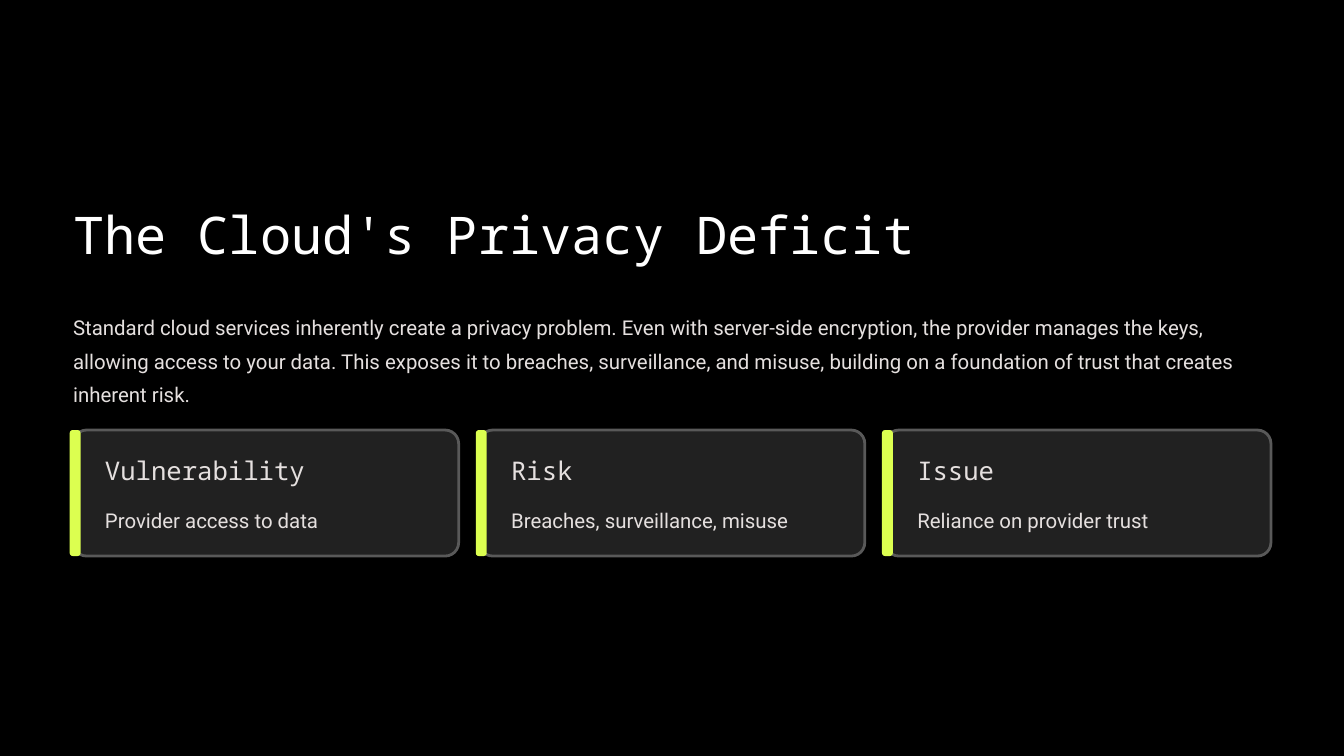
from pptx import Presentation, util as u
from pptx.dml.color import RGBColor
from pptx.enum import shapes

TITLE = "The Cloud's Privacy Deficit"
INTRO = (
    "Standard cloud services inherently create a privacy problem. "
    "Even with server-side encryption, the provider manages the keys, "
    "allowing access to your data. This exposes it to breaches, surveillance, "
    "and misuse, building on a foundation of trust that creates inherent risk."
)
CARDS = [
    ("Vulnerability", "Provider access to data"),
    ("Risk", "Breaches, surveillance, misuse"),
    ("Issue", "Reliance on provider trust"),
]
COLORS = {
    "background": "000000",
    "title": "FFFFFF",
    "body": "E5E0DF",
    "card": "212121",
    "border": "595959",
    "accent": "DCFF50",
}
# font, size, line spacing (points), colour
STYLES = {
    "title": ("Noto Sans Mono", 44.5, 55.5, "title"),
    "heading": ("Noto Sans Mono", 22, 27.5, "body"),
    "body": ("Roboto", 17.5, 28.5, "body"),
}

# Inches
WIDTH, HEIGHT = 16, 9
MARGIN = 0.87
CONTENT_WIDTH = WIDTH - 2 * MARGIN
GAP = 0.245
CARD_WIDTH = (CONTENT_WIDTH - GAP * (len(CARDS) - 1)) / len(CARDS)
CARD_TOP, CARD_HEIGHT = 5.12, 1.5
BAR_WIDTH, BAR_OVERHANG = 0.13, 0.04
TEXT_INDENT = 0.38


def color(name):
    return RGBColor.from_string(COLORS[name])


def add_text(slide, content, style, left, top, width, height, wrap=False):
    font_name, size, spacing, color_name = STYLES[style]
    box = slide.shapes.add_textbox(*map(u.Inches, (left, top, width, height)))
    frame = box.text_frame
    frame.margin_left = frame.margin_right = 0
    frame.margin_top = frame.margin_bottom = 0
    frame.word_wrap = wrap
    frame.text = content
    paragraph = frame.paragraphs[0]
    paragraph.line_spacing = u.Pt(spacing)
    font = paragraph.runs[0].font
    font.name, font.size = font_name, u.Pt(size)
    font.color.rgb = color(color_name)


def add_panel(slide, left, width, roundness, fill, border=None):
    """Add a rounded rectangle that spans the height of the card row."""
    panel = slide.shapes.add_shape(
        shapes.MSO_SHAPE.ROUNDED_RECTANGLE,
        *map(u.Inches, (left, CARD_TOP, width, CARD_HEIGHT)),
    )
    panel.shadow.inherit = False
    panel.adjustments[0] = roundness
    panel.fill.solid()
    panel.fill.fore_color.rgb = color(fill)
    if border:
        panel.line.color.rgb = color(border)
        panel.line.width = u.Pt(2.4)
    else:
        panel.line.fill.background()


def add_card(slide, left, heading, detail):
    add_panel(slide, left, CARD_WIDTH, 0.107, "card", "border")
    add_panel(slide, left - BAR_OVERHANG, BAR_WIDTH, 0.279, "accent")
    text_left = left + TEXT_INDENT
    add_text(slide, heading, "heading", text_left, CARD_TOP + 0.28, 3.1, 0.39)
    add_text(slide, detail, "body", text_left, CARD_TOP + 0.82, 3.93, 0.4)


def main():
    presentation = Presentation()
    presentation.slide_width = u.Inches(WIDTH)
    presentation.slide_height = u.Inches(HEIGHT)
    slide = presentation.slides.add_slide(presentation.slide_layouts[6])
    slide.background.fill.solid()
    slide.background.fill.fore_color.rgb = color("background")

    add_text(slide, TITLE, "title", MARGIN, 2.38, 10.05, 0.78)
    add_text(slide, INTRO, "body", MARGIN, 3.65, CONTENT_WIDTH, 1.19, wrap=True)
    for column, (heading, detail) in enumerate(CARDS):
        add_card(slide, MARGIN + column * (CARD_WIDTH + GAP), heading, detail)

    presentation.save("out.pptx")


if __name__ == "__main__":
    main()
